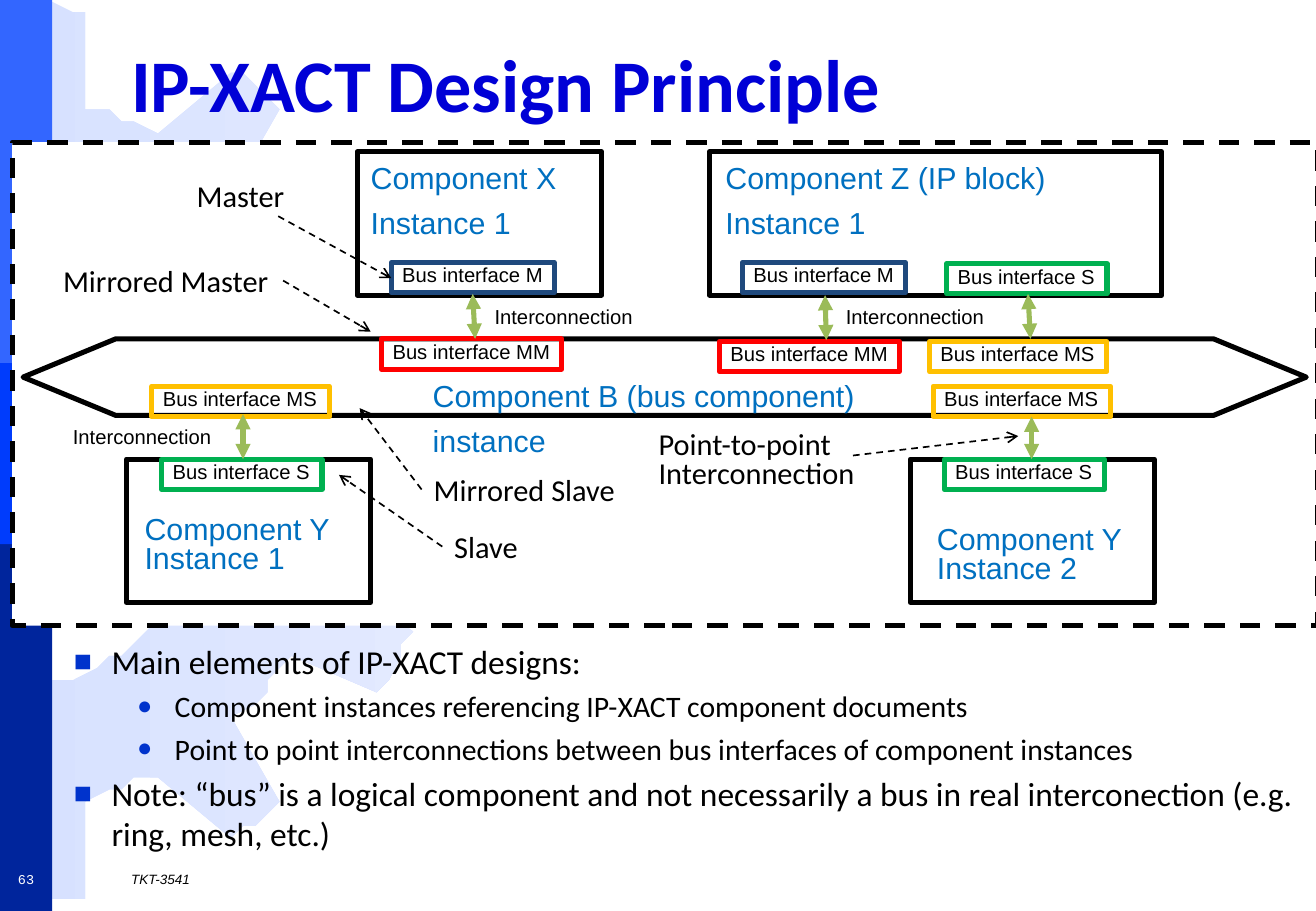
import pptx
import pptx.util
import pptx.dml.color
import pptx.enum.dml
import pptx.enum.shapes
import pptx.enum.text
import pptx.oxml.ns
import lxml.etree

RGB = pptx.dml.color.RGBColor
BLACK, WHITE = RGB(0, 0, 0), RGB(255, 255, 255)
TITLE_BLUE, BULLET_BLUE = RGB(0, 0, 0xD6), RGB(0, 0x33, 0xCC)
COMPONENT_BLUE, LINK_GREEN = RGB(0, 0x70, 0xC0), RGB(0x9B, 0xBB, 0x59)
NAVY, GREEN = RGB(0x1F, 0x49, 0x7D), RGB(0, 0xB0, 0x50)
RED, AMBER = RGB(255, 0, 0), RGB(255, 0xC0, 0)
WHEEL_LEFT, WHEEL_RIGHT = RGB(0xD7, 0xE1, 0xFF), RGB(0xE3, 0xEA, 0xFF)

CELL = pptx.util.Inches(0.1)
COLUMNS, ROWS = 108.3, 75
TIGHT, ROOMY = (0.9, 0.4), (1, 0.5)
COMPONENT_HEIGHT, INTERFACE_HEIGHT, LABEL_HEIGHT = 11.8, 2.5, 4
UPPER, LOWER = 12.5, 37.8

SIDE_BANDS = [
    (0, 30.5, RGB(0x33, 0x66, 0xFF)),
    (44.6, 30.4, RGB(0, 0x25, 0x9C)),
    (29.9, 14.9, RGB(0, 0x3C, 0xFC)),
]
WHEEL_HALF = [
    (0, 44.9), (17.3, 44.9), (16.7, 46.1), (16, 47.2), (15.5, 48.4), (14.7, 49.5),
    (13.9, 50.4), (13, 51.2), (11.9, 52.2), (11.1, 52.8), (10, 53.6), (8.9, 54.3),
    (7.8, 55.1), (6.5, 55.5), (5.4, 56.1), (4.2, 56.4), (2.8, 56.8), (1.4, 57),
    (1.4, 74.9), (2.9, 74.6), (4.2, 74.5), (5.5, 74.2), (7, 73.9), (7, 65.9),
    (8.7, 65.4), (10, 64.9), (11.4, 64.3), (12.8, 63.5), (18.6, 69.1), (19.9, 68.4),
    (20.8, 67.7), (21.9, 66.9), (23.2, 66.2), (19.2, 59.1), (20.6, 57.8), (21.5, 56.8),
    (22.5, 55.5), (23.6, 54.2), (31.4, 56.6), (32, 55.5), (32.7, 54.3), (33.3, 53.4),
    (33.8, 52), (27.3, 47.2), (27.5, 45.7), (28.1, 44.2), (28.3, 42.7), (28.6, 41.2),
    (36.7, 40), (37, 38.5),
]
TITLE = "IP-XACT Design Principle"
BULLETS = [
    (0, "Main elements of IP-XACT designs:"),
    (1, "Component instances referencing IP-XACT component documents"),
    (1, "Point to point interconnections between bus interfaces of component instances"),
    (0, "Note: “bus” is a logical component and not necessarily a bus in real interconection (e.g. ring, mesh, etc.)"),
]
BULLET_STYLES = [("■", 90, 19.8, 3.1), ("●", 85, 17.6, 8.3)]
COMPONENTS = [
    (10.4, LOWER, 20.1, ["Component Y Instance 1"], (11, 42.2, 18.6, 5.7)),
    (74.9, LOWER, 20.1, ["Component Y Instance 2"], (76.2, 43, 18.6, 5.7)),
    (29.4, UPPER, 20.1, ["Component X", "Instance 1"], (29.6, 13.3, 19.5, 7.3)),
    (58.4, UPPER, 37.2, ["Component Z (IP block)", "Instance 1"], (58.8, 13.3, 36.1, 7.3)),
]
BUS = (1.9, 27.9, 105.6, 6.3)
BUS_NAME = ["Component B (bus component)", "instance"]
BUS_NAME_BOX = (34.7, 31.2, 36.8, 7.2)
INTERFACE_KINDS = {"M": (13.4, NAVY), "S": (13.2, GREEN), "MM": (14.8, RED), "MS": (14.6, AMBER)}
INTERFACES = [
    ("S", 13.3, 37.8), ("S", 77.7, 37.8), ("M", 32.2, 21.6), ("MM", 31.4, 27.9),
    ("MS", 76.8, 31.8), ("MS", 12.5, 31.8), ("M", 61.1, 21.6), ("S", 77.9, 21.7),
    ("MS", 76.5, 28.1), ("MM", 59.2, 28.1),
]
LINKS = [
    (38.9, 24.2, 39.1, 27.9), (20, 34.1, 20, 37.8), (84.9, 34.3, 84.9, 37.8),
    (67.9, 24.3, 68, 28), (84.6, 24.2, 84.8, 27.9),
]
LINK_LABEL = "Interconnection"
LINK_LABEL_PLACES = [(5.1, 34.9), (39.8, 25), (68.7, 25)]
CALLOUTS = [
    ("Master", 15.2, 14.1, 9.3, (22.9, 17.8, 32.2, 22.9)),
    ("Mirrored Master", 4.2, 21.1, 19.1, (23.3, 23.1, 30.5, 27.3)),
    ("Slave", 36.4, 43, 7.3, (36.4, 45, 27.9, 39.1)),
    ("Mirrored Slave", 34.7, 38.3, 17.1, (34.7, 40.3, 29.6, 33.6)),
]
POINT_TO_POINT = "Point-to-point Interconnection"
POINT_TO_POINT_BOX = (53.3, 35.2, 21.2, 5.9)
POINT_TO_POINT_ARROW = (70.2, 37.5, 83.8, 35.9)

deck = pptx.Presentation()
deck.slide_width, deck.slide_height = round(COLUMNS * CELL), round(ROWS * CELL)
slide = deck.slides.add_slide(deck.slide_layouts[6])


def cells(values):
    return [round(value * CELL) for value in values]


def sub(parent, tag, **attributes):
    return lxml.etree.SubElement(parent, pptx.oxml.ns.qn(tag), **attributes)


def write(shape, lines, size, font, color, inset=ROOMY, wrap=False, grow=True,
          tight=False, middle=False, bold=None, italic=None, center=False):
    frame = shape.text_frame
    frame.word_wrap = wrap
    frame.auto_size = getattr(pptx.enum.text.MSO_AUTO_SIZE, "SHAPE_TO_FIT_TEXT" if grow else "NONE")
    frame.vertical_anchor = getattr(pptx.enum.text.MSO_ANCHOR, "MIDDLE" if middle else "TOP")
    frame.margin_left = frame.margin_right = round(inset[0] * CELL)
    frame.margin_top = frame.margin_bottom = round(inset[1] * CELL)
    for index, line in enumerate(lines):
        paragraph = frame.add_paragraph() if index else frame.paragraphs[0]
        paragraph.alignment = getattr(pptx.enum.text.PP_ALIGN, "CENTER" if center else "LEFT")
        if tight:
            paragraph.line_spacing = 0.8
            paragraph.space_before = pptx.util.Pt(size * 0.53)
        run = paragraph.add_run()
        run.text = line
        run.font.size, run.font.name = pptx.util.Pt(size), font
        run.font.bold, run.font.italic = bold, italic
        run.font.color.rgb = color


def label(box, lines, size, font, color, **style):
    textbox = slide.shapes.add_textbox(*cells(box))
    write(textbox, lines, size, font, color, **style)
    return textbox


def outline(box, color=BLACK, fill=None, kind="RECTANGLE"):
    shape = slide.shapes.add_shape(getattr(pptx.enum.shapes.MSO_SHAPE, kind), *cells(box))
    shape.shadow.inherit = False
    if fill is None:
        shape.fill.background()
    else:
        shape.fill.solid()
        shape.fill.fore_color.rgb = fill
    if color is None:
        shape.line.fill.background()
    else:
        shape.line.color.rgb = color
        shape.line.width = pptx.util.Pt(3)
    return shape


def arrow(ends, color, width, dashed, heads):
    line = slide.shapes.add_connector(pptx.enum.shapes.MSO_CONNECTOR.STRAIGHT, *cells(ends))
    line.line.color.rgb = color
    line.line.width = pptx.util.Pt(width)
    if dashed:
        line.line.dash_style = pptx.enum.dml.MSO_LINE.DASH
    properties = line.line._get_or_add_ln()
    for tag, head in heads.items():
        sub(properties, tag, type=head)
    sub(line._element.spPr, "a:effectLst")


def pointer(ends):
    arrow(ends, BLACK, 1, True, {"a:tailEnd": "arrow"})


wheel_points = WHEEL_HALF + [(x, ROWS - 0.2 - y) for x, y in reversed(WHEEL_HALF)]
outline_builder = slide.shapes.build_freeform(*wheel_points[0], scale=CELL)
outline_builder.add_line_segments(wheel_points[1:], close=True)
wheel = outline_builder.convert_to_shape()
wheel.shadow.inherit = False
wheel.line.fill.background()
wheel.fill.gradient()
wheel.fill.gradient_angle = 0
for stop, color in zip(wheel.fill.gradient_stops, (WHEEL_LEFT, WHEEL_RIGHT)):
    stop.color.rgb = color

for top, height, color in SIDE_BANDS:
    outline((0, top, 4.3, height), None, color)
design_frame = outline((1, 11.7, 107.4, 39.8), fill=WHITE)
design_frame.line.dash_style = pptx.enum.dml.MSO_LINE.DASH

label((9.8, 2.1, 93.9, 9.4), [TITLE], 44, "Calibri", TITLE_BLUE,
      wrap=True, grow=False, middle=True, bold=True)

body = label((5.1, 52.3, 103.3, 16.8), [text for level, text in BULLETS], 19.8, "Calibri", BLACK,
             wrap=True, grow=False)
for paragraph, (level, text) in zip(body.text_frame.paragraphs, BULLETS):
    mark, share, size, indent = BULLET_STYLES[level]
    paragraph.level = level
    paragraph.space_before = pptx.util.Pt(4)
    paragraph.runs[0].font.size = pptx.util.Pt(size)
    properties = paragraph._p.get_or_add_pPr()
    properties.set("marL", str(round(indent * CELL)))
    properties.set("indent", str(round(-3.1 * CELL)))
    sub(sub(properties, "a:buClr"), "a:srgbClr", val=str(BULLET_BLUE))
    sub(properties, "a:buSzPct", val=str(share * 1000))
    sub(properties, "a:buFont", typeface="Arial")
    sub(properties, "a:buChar", char=mark)

for left, top, width, name, name_box in COMPONENTS:
    outline((left, top, width, COMPONENT_HEIGHT))
    label(name_box, name, 18, "Arial", COMPONENT_BLUE, inset=TIGHT, wrap=True, tight=True)

bus = outline(BUS, kind="LEFT_RIGHT_ARROW")
bus.adjustments[0], bus.adjustments[1] = 1, 1.21
label(BUS_NAME_BOX, BUS_NAME, 18, "Arial", COMPONENT_BLUE, inset=TIGHT, tight=True)

for kind, left, top in INTERFACES:
    width, color = INTERFACE_KINDS[kind]
    interface = outline((left, top, width, INTERFACE_HEIGHT), color)
    write(interface, ["Bus interface " + kind], 12, "Arial", BLACK, inset=TIGHT, tight=True)

for ends in LINKS:
    arrow(ends, LINK_GREEN, 3, False, {"a:headEnd": "triangle", "a:tailEnd": "triangle"})
for left, top in LINK_LABEL_PLACES:
    label((left, top, 13.2, INTERFACE_HEIGHT), [LINK_LABEL], 12, "Arial", BLACK, inset=TIGHT, tight=True)

for text, left, top, width, ends in CALLOUTS:
    label((left, top, width, LABEL_HEIGHT), [text], 18, "Calibri", BLACK)
    pointer(ends)
label(POINT_TO_POINT_BOX, [POINT_TO_POINT], 18, "Calibri", BLACK, inset=TIGHT, wrap=True, tight=True)
pointer(POINT_TO_POINT_ARROW)

label((0, 71.1, 4.3, 2.6), ["63"], 8, "Courier New", WHITE, grow=False, middle=True, center=True)
label((9.8, 71.1, 93.9, 2.6), ["TKT-3541"], 8, "Arial", BLACK, grow=False, middle=True, italic=True)

deck.save("out.pptx")
